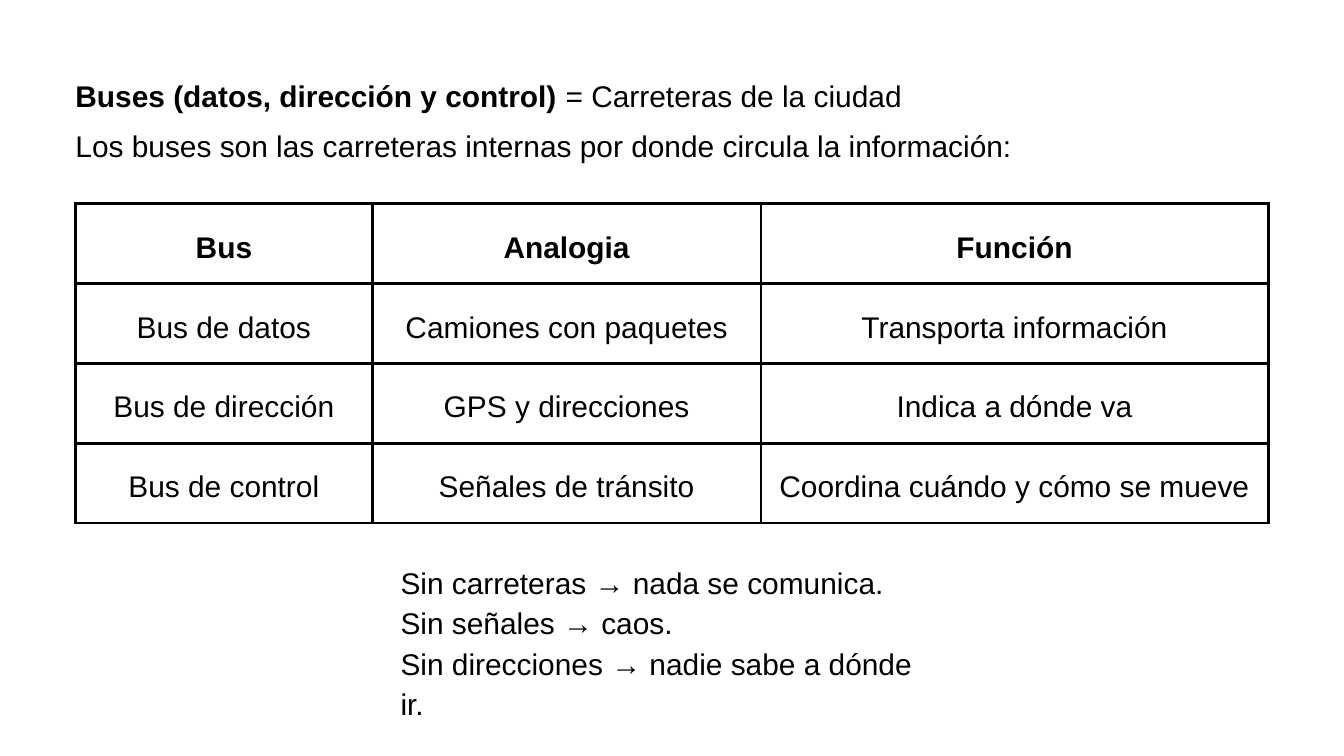
from lxml import etree
from pptx import Presentation
from pptx.dml.color import RGBColor
from pptx.enum.text import MSO_ANCHOR, MSO_AUTO_SIZE, PP_ALIGN
from pptx.oxml.ns import qn
from pptx.util import Cm, Pt

COLORS = {"ink": "000000", "paper": "FFFFFF"}
FONT, SIZE = "Arial", 32
BORDER = 3
CELL_INSET = 0.53

HEADING = [
    [("Buses (datos, dirección y control) ", True), ("= Carreteras de la ciudad", False)],
    [("Los buses son las carreteras internas por donde circula la información:", False)],
]
BUSES = [
    ["Bus", "Analogia", "Función"],
    ["Bus de datos", "Camiones con paquetes", "Transporta información"],
    ["Bus de dirección", "GPS y direcciones", "Indica a dónde va"],
    ["Bus de control", "Señales de tránsito", "Coordina cuándo y cómo se mueve"],
]
CONSEQUENCES = [
    "Sin carreteras → nada se comunica.",
    "Sin señales → caos.",
    "Sin direcciones → nadie sabe a dónde ir.",
]


def write_paragraphs(frame, paragraphs, spacing, align=PP_ALIGN.LEFT):
    """Fill a text frame; each paragraph is a list of (text, bold) runs."""
    for i, runs in enumerate(paragraphs):
        paragraph = frame.add_paragraph() if i else frame.paragraphs[0]
        paragraph.alignment = align
        paragraph.line_spacing = Pt(spacing)
        paragraph.space_before = paragraph.space_after = Pt(0)
        for text, bold in runs:
            run = paragraph.add_run()
            run.text = text
            run.font.name, run.font.size, run.font.bold = FONT, Pt(SIZE), bold
            run.font.color.rgb = RGBColor.from_string(COLORS["ink"])


def prepare_frame(frame):
    frame.word_wrap = True
    frame.vertical_anchor = MSO_ANCHOR.TOP
    frame.auto_size = MSO_AUTO_SIZE.SHAPE_TO_FIT_TEXT
    frame.margin_left = frame.margin_right = frame.margin_top = frame.margin_bottom = 0


def set_borders(cell):
    properties = cell._tc.get_or_add_tcPr()
    for i, side in enumerate(("lnL", "lnR", "lnT", "lnB")):
        line = etree.Element(qn(f"a:{side}"), w=str(Pt(BORDER)))
        fill = etree.SubElement(line, qn("a:solidFill"))
        etree.SubElement(fill, qn("a:srgbClr"), val=COLORS["ink"])
        properties.insert(i, line)


def add_heading(slide, left, top, width, height):
    title = slide.shapes.title
    title.left, title.top, title.width, title.height = map(Cm, (left, top, width, height))
    prepare_frame(title.text_frame)
    write_paragraphs(title.text_frame, HEADING, 53.7)
    title.text_frame.paragraphs[1].alignment = PP_ALIGN.JUSTIFY


def add_bus_table(slide, left, top, column_widths, row_height):
    table = slide.shapes.add_table(
        len(BUSES), len(column_widths), Cm(left), Cm(top),
        Cm(sum(column_widths)), Cm(row_height * len(BUSES))).table
    table.horz_banding = False
    for column, width in zip(table.columns, column_widths):
        column.width = Cm(width)
    for r, texts in enumerate(BUSES):
        table.rows[r].height = Cm(row_height)
        for c, text in enumerate(texts):
            cell = table.cell(r, c)
            cell.fill.background()
            cell.vertical_anchor = MSO_ANCHOR.MIDDLE
            cell.margin_left = cell.margin_right = Cm(CELL_INSET)
            cell.margin_top = cell.margin_bottom = Cm(CELL_INSET)
            write_paragraphs(cell.text_frame, [[(text, r == 0)]], 44.8, PP_ALIGN.CENTER)
            set_borders(cell)


def add_consequences(slide, left, top, width, height):
    box = slide.shapes.add_textbox(*map(Cm, (left, top, width, height)))
    prepare_frame(box.text_frame)
    write_paragraphs(box.text_frame, [[(text, False)] for text in CONSEQUENCES], 43.4)


def build_slide(prs):
    slide = prs.slides.add_slide(prs.slide_layouts[5])
    slide.background.fill.solid()
    slide.background.fill.fore_color.rgb = RGBColor.from_string(COLORS["paper"])
    margin = 2.85
    add_heading(slide, margin, 2.39, 45.1, 3.68)
    add_bus_table(slide, margin, 7.7, (11.23, 14.68, 19.18), 3.02)
    add_consequences(slide, 15.14, 21.16, 20.52, 4.57)


prs = Presentation()
prs.slide_width, prs.slide_height = Cm(50.8), Cm(28.58)
build_slide(prs)
prs.save("out.pptx")
